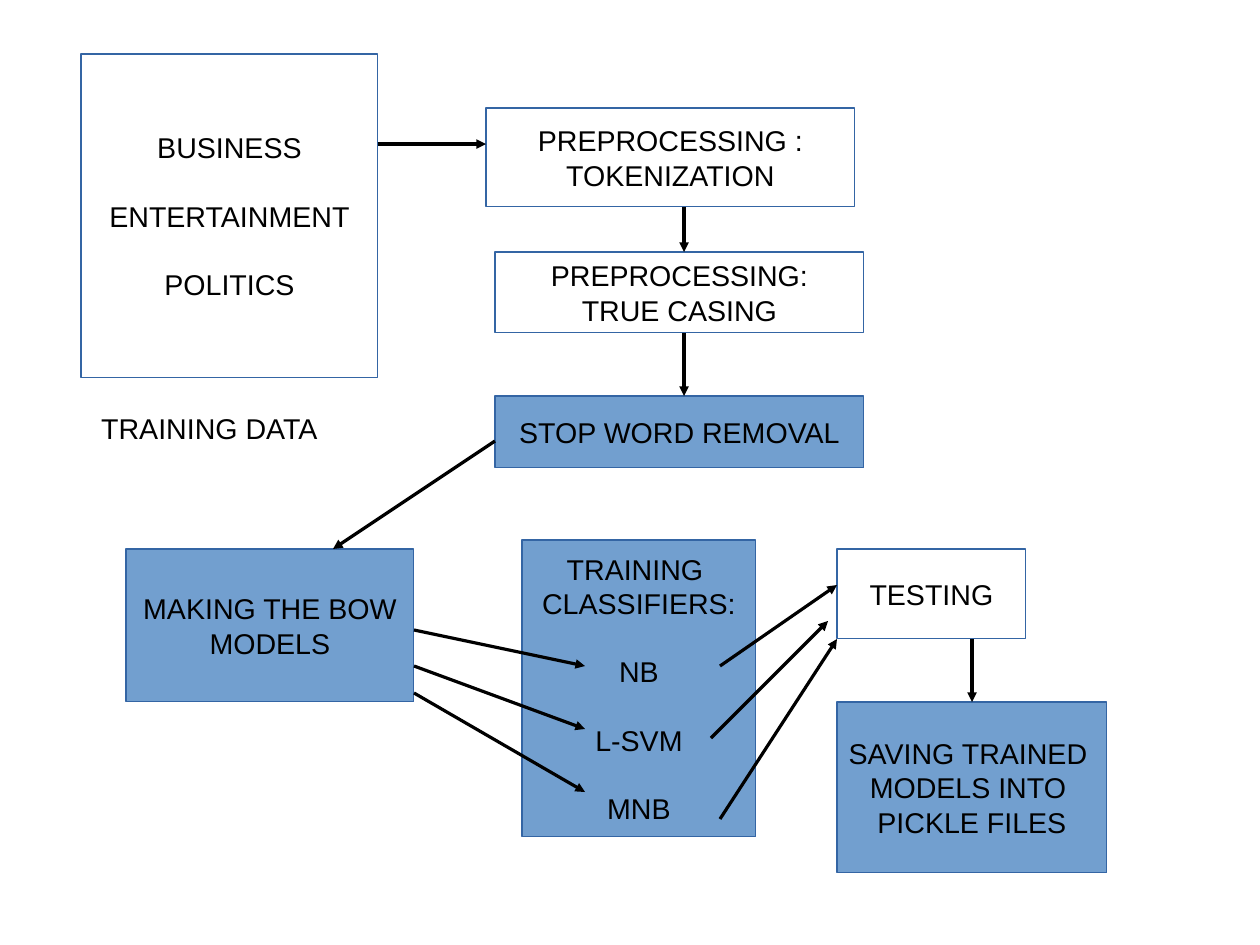
from lxml.etree import SubElement
from pptx import Presentation
from pptx.dml.color import RGBColor
from pptx.enum.shapes import MSO_CONNECTOR, MSO_SHAPE
from pptx.enum.text import MSO_ANCHOR, MSO_AUTO_SIZE, PP_ALIGN
from pptx.oxml.ns import qn
from pptx.util import Pt

SCALE = 8000  # EMU in one px
COLORS = {"white": "FFFFFF", "blue": "729FCF", "edge": "3465A4", "ink": "000000"}
GAP = Pt(21.5)


def emu(*px):
    return [n * SCALE for n in px]


def color(name):
    return RGBColor.from_string(COLORS[name])


def style(para):
    for run in para.runs:
        run.font.name = "Arial"
        run.font.size = Pt(18)
        run.font.color.rgb = color("ink")


def add_box(slide, place, fill, *groups):
    """Draw a box; each group of lines is set apart from the one above."""
    box = slide.shapes.add_shape(MSO_SHAPE.RECTANGLE, *emu(*place))
    box.shadow.inherit = False
    box.fill.solid()
    box.fill.fore_color.rgb = color(fill)
    box.line.color.rgb = color("edge")
    box.line.width = Pt(0)
    frame = box.text_frame
    frame.text = "\n".join(groups)
    frame.word_wrap = False
    frame.vertical_anchor = MSO_ANCHOR.MIDDLE
    for para in frame.paragraphs:
        para.alignment = PP_ALIGN.CENTER
        style(para)
    row = 0
    for above in groups[:-1]:
        row += len(above.split("\n"))
        frame.paragraphs[row].space_before = GAP


def add_label(slide, place, text):
    frame = slide.shapes.add_textbox(*emu(*place)).text_frame
    frame.word_wrap = True
    frame.auto_size = MSO_AUTO_SIZE.SHAPE_TO_FIT_TEXT
    frame.text = text
    style(frame.paragraphs[0])


def add_arrow(slide, *ends):
    arrow = slide.shapes.add_connector(MSO_CONNECTOR.STRAIGHT, *emu(*ends))
    arrow.line.color.rgb = color("ink")
    arrow.line.width = Pt(0)
    SubElement(arrow.line._get_or_add_ln(), qn("a:tailEnd"), type="triangle")
    SubElement(arrow._element.spPr, qn("a:effectLst"))


def main():
    deck = Presentation()
    deck.slide_width, deck.slide_height = emu(1260, 945)
    slide = deck.slides.add_slide(deck.slide_layouts[6])

    add_box(slide, (81, 54, 297, 324), "white",
            "BUSINESS", "ENTERTAINMENT", "POLITICS")
    add_label(slide, (90, 405, 288, 43), "TRAINING DATA")
    add_box(slide, (486, 108, 369, 99), "white", "PREPROCESSING :\nTOKENIZATION")
    add_box(slide, (495, 252, 369, 81), "white", "PREPROCESSING:\nTRUE CASING")
    add_box(slide, (495, 396, 369, 72), "blue", "STOP WORD REMOVAL")
    add_box(slide, (126, 549, 288, 153), "blue", "MAKING THE BOW\nMODELS")
    add_box(slide, (522, 540, 234, 297), "blue",
            "TRAINING \nCLASSIFIERS:", "NB", "L-SVM", "MNB")
    add_box(slide, (837, 549, 189, 90), "white", "TESTING")
    add_box(slide, (837, 702, 270, 171), "blue",
            "SAVING TRAINED \nMODELS INTO \nPICKLE FILES")

    for ends in (
        (378, 144, 486, 144),
        (684, 207, 684, 252),
        (684, 333, 684, 396),
        (495, 441, 333, 549),
        (414, 630, 585, 666),
        (414, 666, 585, 729),
        (414, 693, 585, 792),
        (720, 666, 837, 585),
        (711, 738, 828, 621),
        (720, 819, 837, 639),
        (972, 639, 972, 702),
    ):
        add_arrow(slide, *ends)
    deck.save("out.pptx")


if __name__ == "__main__":
    main()
